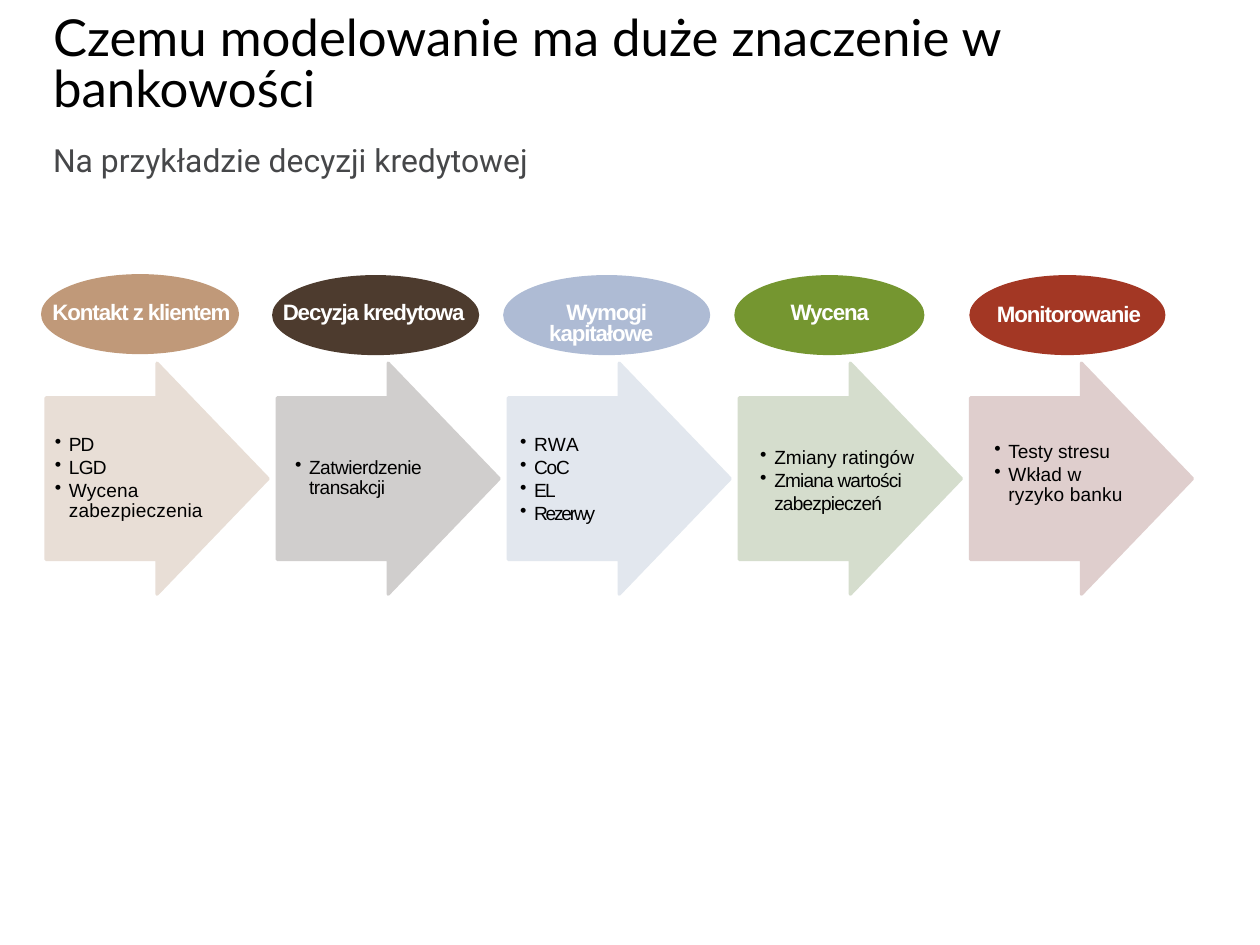
from lxml.etree import SubElement
from pptx import Presentation
from pptx.dml.color import RGBColor
from pptx.enum.shapes import MSO_SHAPE as Preset
from pptx.enum.text import MSO_ANCHOR as Anchor, MSO_AUTO_SIZE as AutoSize, PP_ALIGN as Align
from pptx.oxml.ns import qn
from pptx.util import Emu, Pt

PIXEL = 914400 / 114.5
TITLE = "Czemu modelowanie ma duże znaczenie w bankowości"
SUBTITLE = "Na przykładzie decyzji kredytowej"

# Bullets: (runs as (text, letter spacing), exact line height, space before)
STAGES = [
    dict(label="Kontakt z klientem", oval=(41, 274, 198), label_at=(34, 305),
         colour="C09979", tint="E8DED6", list_at=(53, 432, 184),
         bullets=[([("PD", -0.7)], None, 0), ([("LGD", -0.5)], None, 0.1),
                  ([("Wycena zabezpieczenia", 0.1)], 12.5, 2.2)]),
    dict(label="Decyzja kredytowa", oval=(272, 275, 207), label_at=(266, 305),
         colour="4D3B2E", tint="D0CECD", list_at=(293, 458, 144),
         bullets=[([("Zatwierdzenie transakcji", -0.3)], 12.5, 0)]),
    dict(label="Wymogi\vkapitałowe", oval=(503, 275, 207), label_at=(499, 305),
         colour="AEBBD4", tint="E2E7EE", list_at=(518, 432, 152),
         bullets=[([("R", -0.3), ("W", -0.8), ("A", 0.6)], None, 0),
                  ([("CoC", -0.8)], None, 0.1), ([("EL", -1.1)], None, 0.2),
                  ([("Rezerwy", -1.4)], None, 0.2)]),
    dict(label="Wycena", oval=(734, 275, 190), label_at=(722, 305),
         colour="759630", tint="D5DDCD", list_at=(758, 448, 165),
         bullets=[([("Zmiany ratingów", 0)], 12.5, 0),
                  ([("Zmiana wartości zabezpieczeń", -0.5)], None, 0.1)]),
    dict(label="Monitorowanie", oval=(969, 275, 196), label_at=(961, 307),
         colour="A33724", tint="DFCECD", list_at=(992, 442, 141),
         bullets=[([("Testy stresu", 0)], 12.5, 0),
                  ([("Wkład w ryzyko banku", 0.1)], 12.5, 2.1)]),
]
ARROW_LEFT, ARROW_TOP, ARROW_PITCH = 46, 363, 231
ARROW_WIDTH, ARROW_HEIGHT = 222, 231
OVAL_HEIGHT, LABEL_WIDTH, LABEL_HEIGHT, LIST_HEIGHT = 80, 203, 30, 94


def px(length):
    """Turn pixels into EMU."""
    return Emu(round(length * PIXEL))


def colour(value):
    """Turn a hex string into a colour."""
    return RGBColor.from_string(value)


def place(shape, left, top, width, height):
    """Set a shape's position and size in pixels."""
    shape.left, shape.top, shape.width, shape.height = map(px, (left, top, width, height))


def write_text(shape, paragraphs, size, font="Arial", ink="000000", bold=False,
               align=Align.LEFT, anchor=Anchor.TOP, margin=0, indent=0, bullet=None):
    """Fill a shape with paragraphs given as (runs, line height, space before)."""
    frame = shape.text_frame
    frame.word_wrap, frame.auto_size, frame.vertical_anchor = True, AutoSize.NONE, anchor
    frame.margin_left = frame.margin_right = frame.margin_top = frame.margin_bottom = 0
    for index, (runs, line_height, before) in enumerate(paragraphs):
        paragraph = frame.add_paragraph() if index else frame.paragraphs[0]
        paragraph.alignment = align
        paragraph.line_spacing = Pt(line_height) if line_height else 1.0
        paragraph.space_before = Pt(before)
        properties = paragraph._p.get_or_add_pPr()
        properties.set("marL", str(px(margin)))
        properties.set("indent", str(px(indent)))
        if bullet:
            SubElement(properties, qn("a:buChar"), char=bullet)
        else:
            SubElement(properties, qn("a:buNone"))
        for text, spacing in runs:
            for part_index, part in enumerate(text.split("\v")):
                if part_index:
                    paragraph.add_line_break()
                run = paragraph.add_run()
                run.text = part
                run.font.name, run.font.size, run.font.bold = font, Pt(size), bold
                run.font.color.rgb = colour(ink)
                if spacing:
                    run._r.get_or_add_rPr().set("spc", str(round(spacing * 100)))


def add_preset(slide, preset, box, fill, line_width=0):
    """Add a plain filled shape, with a round-cornered outline on request."""
    shape = slide.shapes.add_shape(preset, *map(px, box))
    shape.shadow.inherit = False
    shape.fill.solid()
    shape.fill.fore_color.rgb = colour(fill)
    if line_width:
        shape.line.color.rgb = colour(fill)
        shape.line.width = Pt(line_width)
        SubElement(shape.line._get_or_add_ln(), qn("a:round"))
    else:
        shape.line.fill.background()
    return shape


def add_text(slide, box, paragraphs, **text_format):
    """Add a text box."""
    write_text(slide.shapes.add_textbox(*map(px, box)), paragraphs, **text_format)


def add_stage(slide, index, stage):
    """Add one process step: arrow, bullets, oval and label."""
    arrow = add_preset(slide, Preset.RIGHT_ARROW,
                       (ARROW_LEFT + index * ARROW_PITCH, ARROW_TOP, ARROW_WIDTH, ARROW_HEIGHT),
                       stage["tint"], line_width=2)
    arrow.adjustments[0], arrow.adjustments[1] = 0.7, 0.5
    add_text(slide, (*stage["list_at"], LIST_HEIGHT), stage["bullets"],
             size=12, margin=16, indent=-14, bullet="•")
    add_preset(slide, Preset.OVAL, (*stage["oval"], OVAL_HEIGHT), stage["colour"])
    add_text(slide, (*stage["label_at"], LABEL_WIDTH, LABEL_HEIGHT),
             [([(stage["label"], -0.7)], 12.7, 0)],
             size=14, ink="FFFFFF", bold=True, align=Align.CENTER, margin=1, indent=11)


presentation = Presentation()
presentation.slide_width, presentation.slide_height = px(1259.5), px(944.625)
slide = presentation.slides.add_slide(presentation.slide_layouts[1])
title, subtitle = slide.placeholders
place(title, 53, 0, 1151, 118)
write_text(title, [([(TITLE, 0)], 32, 0)], size=32, font="Lato", anchor=Anchor.BOTTOM)
place(subtitle, 53, 141, 1151, 34)
write_text(subtitle, [([(SUBTITLE, 0)], None, 0)], size=20, font="Roboto", ink="464749")
for index, stage in enumerate(STAGES):
    add_stage(slide, index, stage)
presentation.save("out.pptx")
